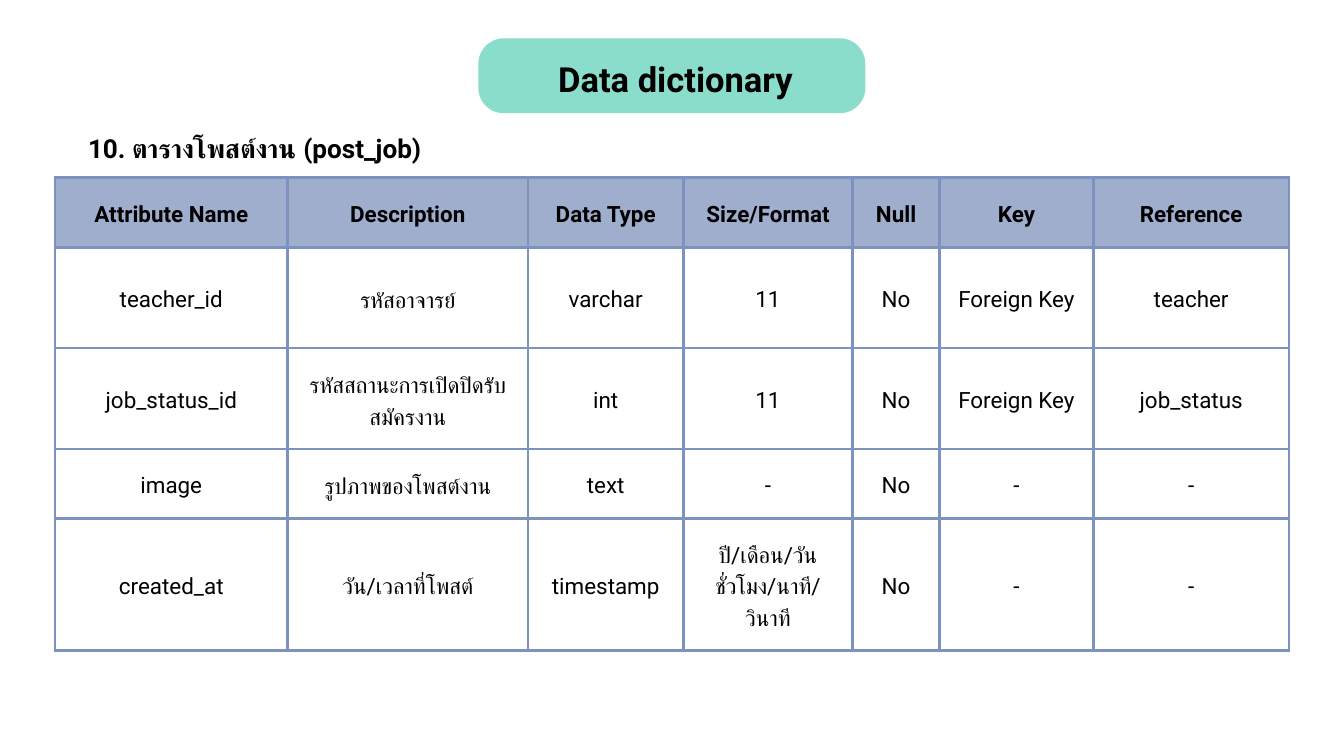
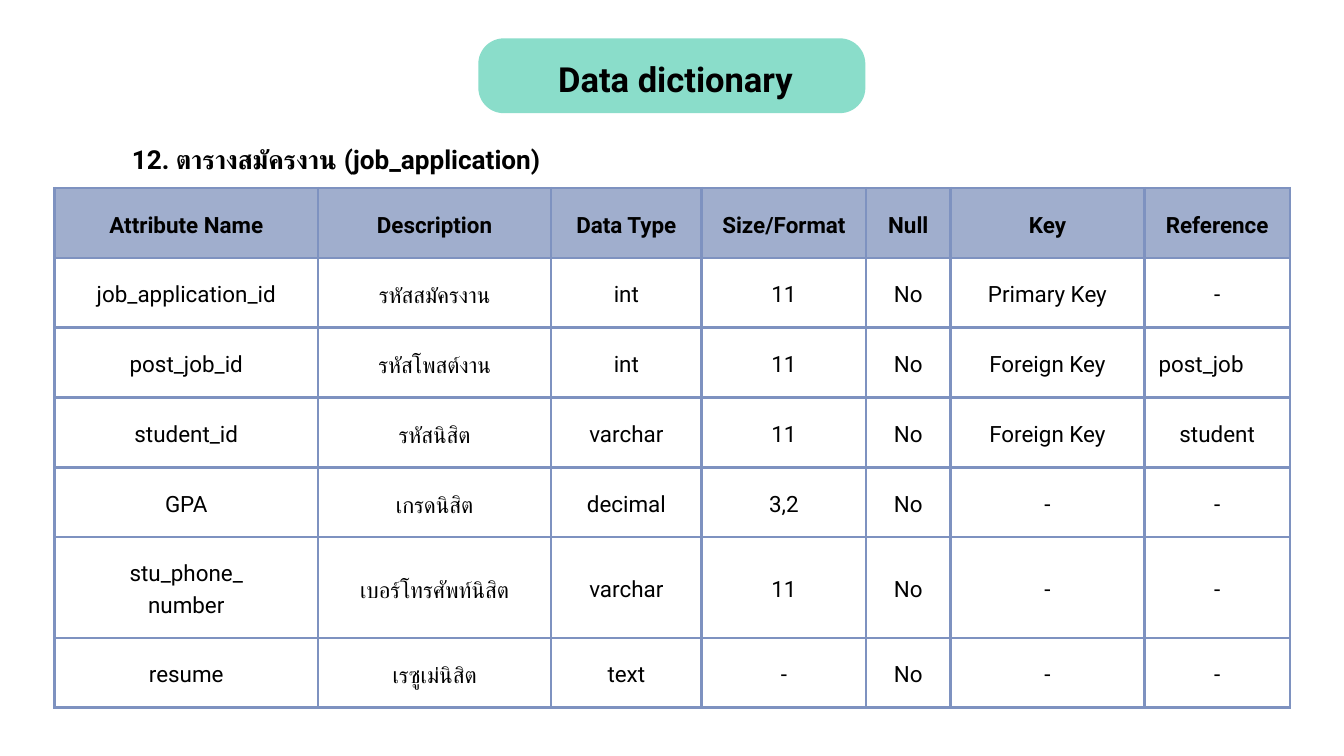
from dataclasses import dataclass
from lxml.etree import SubElement
from pptx import Presentation
from pptx.dml.color import RGBColor
from pptx.enum.shapes import MSO_SHAPE
from pptx.enum.text import MSO_ANCHOR, PP_ALIGN
from pptx.oxml.ns import qn
from pptx.util import Cm, Pt


@dataclass(frozen=True)
class Theme:
    font: str = "Roboto"
    text: str = "000000"
    badge: str = "8ADDCA"
    header: str = "A0AECD"
    border: str = "7E92C0"
    title_size: float = 37
    heading_size: float = 28
    cell_size: float = 24
    border_width: float = 3
    line_ratio: float = 1.4


THEME = Theme()
HEADERS = ["Attribute Name", "Description", "Data Type", "Size/Format", "Null", "Key", "Reference"]
CELL_MARGIN = 0.53
ROW_PADDING, LINE_HEIGHT = 1.47, 1.17

POST_JOB_ROWS = [
    ["teacher_id", "รหัสอาจารย์", "varchar", "11", "No", "Foreign Key", "teacher"],
    ["job_status_id", "รหัสสถานะการเปิดปิดรับสมัครงาน", "int", "11", "No", "Foreign Key", "job_status"],
    ["image", "รูปภาพของโพสต์งาน", "text", "-", "No", "-", "-"],
    ["created_at", "วัน/เวลาที่โพสต์", "timestamp", "ปี/เดือน/วัน\nชั่วโมง/นาที/วินาที", "No", "-", "-"],
]
JOB_APPLICATION_ROWS = [
    ["job_application_id", "รหัสสมัครงาน", "int", "11", "No", "Primary Key", "-"],
    ["post_job_id", "รหัสโพสต์งาน", "int", "11", "No", "Foreign Key", "post_job"],
    ["student_id", "รหัสนิสิต", "varchar", "11", "No", "Foreign Key", "student"],
    ["GPA", "เกรดนิสิต", "decimal", "3,2", "No", "-", "-"],
    ["stu_phone_\nnumber", "เบอร์โทรศัพท์นิสิต", "varchar", "11", "No", "-", "-"],
    ["resume", "เรซูเม่นิสิต", "text", "-", "No", "-", "-"],
]


def write_text(tf, text, size, bold=False, line_ratio=THEME.line_ratio):
    tf.word_wrap = True
    tf.text = text
    for p in tf.paragraphs:
        p.alignment = PP_ALIGN.CENTER
        p.line_spacing = Pt(size * line_ratio)
        p.font.name = THEME.font
        p.font.size = Pt(size)
        p.font.bold = bold
        p.font.color.rgb = RGBColor.from_string(THEME.text)


def add_label(slide, text, left, top, width, height, size):
    tf = slide.shapes.add_textbox(Cm(left), Cm(top), Cm(width), Cm(height)).text_frame
    tf.margin_left = tf.margin_right = tf.margin_top = tf.margin_bottom = 0
    write_text(tf, text, size, bold=True)


def add_title(slide):
    sp = slide.shapes.add_shape(MSO_SHAPE.ROUNDED_RECTANGLE, Cm(18.08), Cm(1.45), Cm(14.63), Cm(2.83))
    sp.adjustments[0] = 0.34
    sp.shadow.inherit = False
    sp.fill.solid()
    sp.fill.fore_color.rgb = RGBColor.from_string(THEME.badge)
    sp.line.fill.background()
    add_label(slide, "Data dictionary", 20.4, 1.93, 10.26, 1.7, THEME.title_size)


def set_borders(cell):
    tc_pr = cell._tc.get_or_add_tcPr()
    for side in ("lnL", "lnR", "lnT", "lnB"):
        ln = SubElement(tc_pr, qn(f"a:{side}"), w=str(Pt(THEME.border_width)))
        fill = SubElement(ln, qn("a:solidFill"))
        SubElement(fill, qn("a:srgbClr"), val=THEME.border)


def style_cell(cell, text, is_header):
    cell.margin_left = cell.margin_right = cell.margin_top = cell.margin_bottom = Cm(CELL_MARGIN)
    cell.vertical_anchor = MSO_ANCHOR.MIDDLE
    set_borders(cell)
    if is_header:
        cell.fill.solid()
        cell.fill.fore_color.rgb = RGBColor.from_string(THEME.header)
    else:
        cell.fill.background()
    write_text(cell.text_frame, text, THEME.cell_size, bold=is_header)


def add_dictionary(slide, rows, left, top, widths, line_counts):
    rows = [HEADERS] + rows
    heights = [ROW_PADDING + LINE_HEIGHT * n for n in line_counts]
    table = slide.shapes.add_table(len(rows), len(widths), Cm(left), Cm(top),
                                   Cm(sum(widths)), Cm(sum(heights))).table
    table.first_row = table.horz_banding = False
    for column, width in zip(table.columns, widths):
        column.width = Cm(width)
    for i, (row, height) in enumerate(zip(rows, heights)):
        table.rows[i].height = Cm(height)
        for j, text in enumerate(row):
            style_cell(table.cell(i, j), text, i == 0)
    return table


def add_page(prs):
    slide = prs.slides.add_slide(prs.slide_layouts[6])
    add_title(slide)
    return slide


def main():
    prs = Presentation()
    prs.slide_width, prs.slide_height = Cm(50.8), Cm(28.58)

    slide = add_page(prs)
    add_label(slide, "10. ตารางโพสต์งาน (post_job)", 2.79, 4.8, 13.67, 1.35, THEME.heading_size)
    add_dictionary(slide, POST_JOB_ROWS, 2.08, 6.71,
                   [8.79, 9.09, 5.87, 6.4, 3.28, 5.82, 7.39], [1, 2, 2, 1, 3])

    slide = add_page(prs)
    add_label(slide, "12. ตารางสมัครงาน (job_application)", 1.27, 5.23, 22.86, 1.35, THEME.heading_size)
    table = add_dictionary(slide, JOB_APPLICATION_ROWS, 2.06, 7.11,
                           [9.96, 8.81, 5.69, 6.22, 3.18, 7.34, 5.49], [1, 1, 1, 1, 1, 2, 1])
    post_job_reference = table.cell(2, 6)
    post_job_reference.text_frame.paragraphs[0].alignment = PP_ALIGN.LEFT

    prs.save("out.pptx")


if __name__ == "__main__":
    main()
